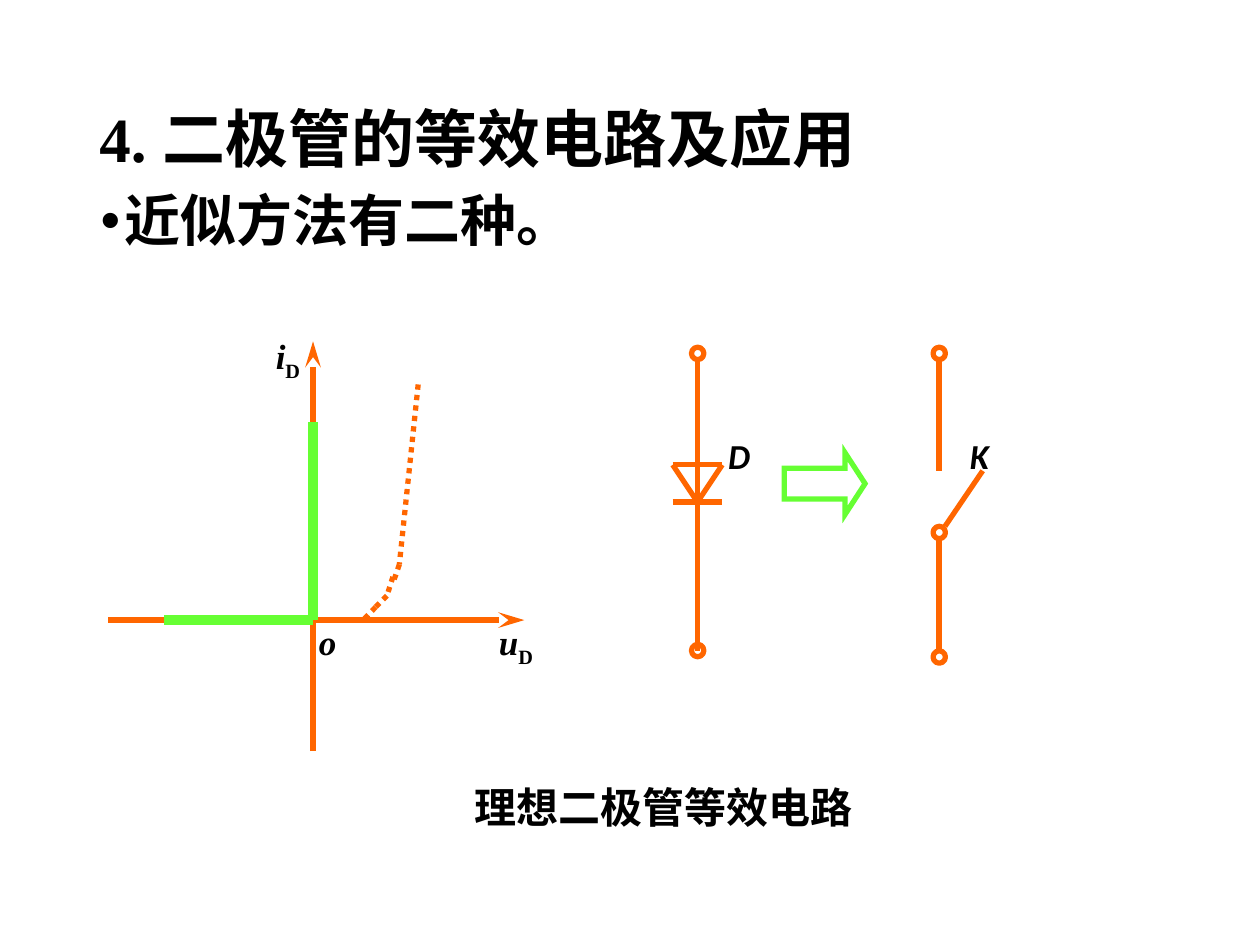
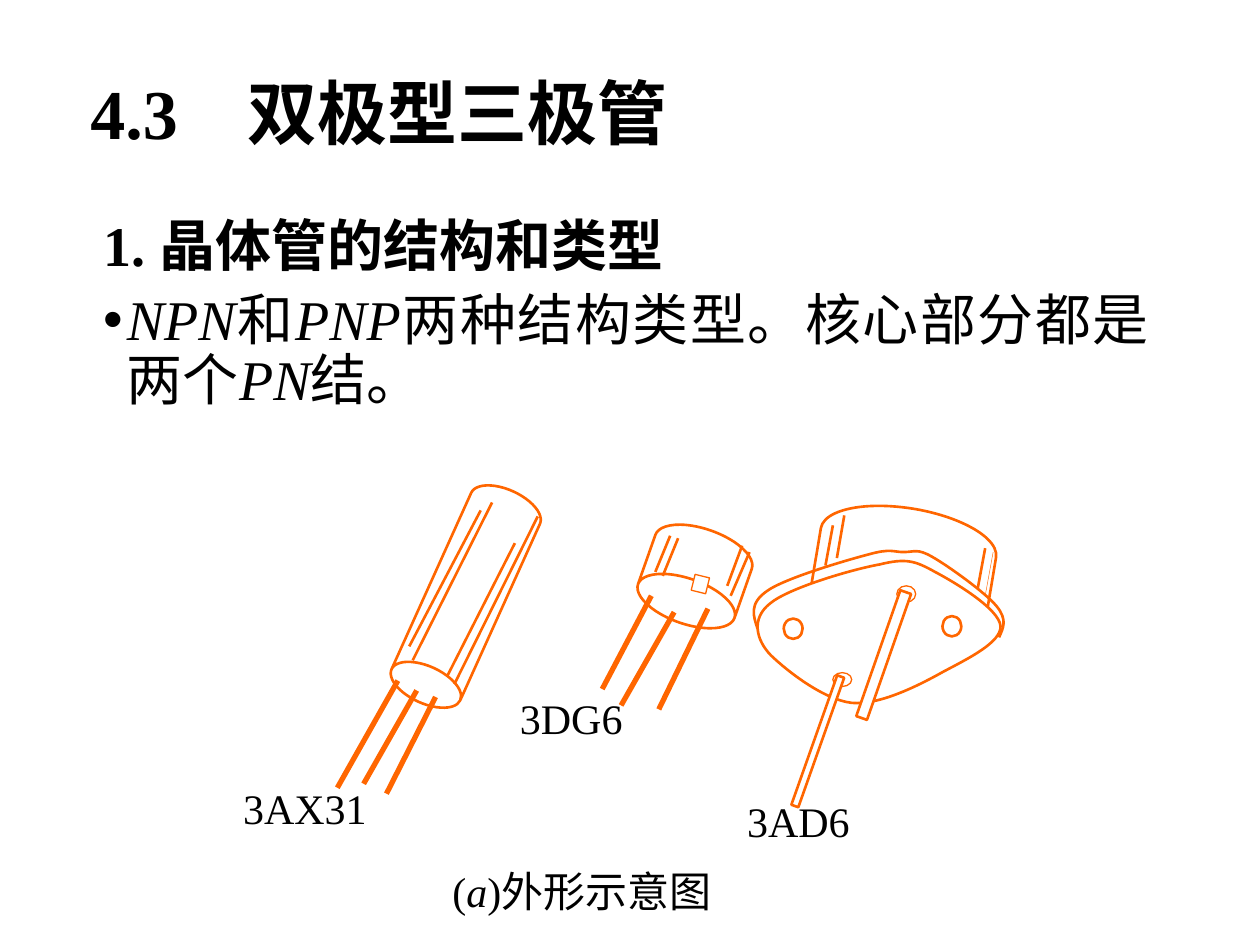
from dataclasses import dataclass
from itertools import chain, pairwise

from lxml import etree
from pptx import Presentation
from pptx.dml.color import RGBColor
from pptx.enum.dml import MSO_LINE
from pptx.enum.shapes import MSO_CONNECTOR, MSO_SHAPE
from pptx.enum.text import MSO_ANCHOR, PP_ALIGN
from pptx.oxml.ns import qn
from pptx.util import Cm, Pt

STRAIGHT = MSO_CONNECTOR.STRAIGHT
DOTTED = MSO_LINE.ROUND_DOT
CAN, ELLIPSE, RECTANGLE = MSO_SHAPE.CAN, MSO_SHAPE.OVAL, MSO_SHAPE.RECTANGLE
RIGHT_ARROW = MSO_SHAPE.RIGHT_ARROW
MIDDLE = MSO_ANCHOR.MIDDLE
LEFT, CENTER, JUSTIFY = PP_ALIGN.LEFT, PP_ALIGN.CENTER, PP_ALIGN.JUSTIFY


@dataclass(frozen=True)
class Theme:
    ink: RGBColor = RGBColor(0, 0, 0)
    paper: RGBColor = RGBColor(255, 255, 255)
    orange: RGBColor = RGBColor(0xFF, 0x66, 0x00)
    green: RGBColor = RGBColor(0x66, 0xFF, 0x33)
    serif: str = "Times New Roman"
    sans: str = "Calibri"
    bullet: str = "Arial"
    body: int = 32
    caption: int = 24
    symbol: int = 20
    heavy: float = 6
    bold_line: float = 3
    thin: float = 1.5
    fine: float = 0.75
    hair: float = 0.25
    hanging: float = 0.48


THEME = Theme()


# ---- Text ----
def write(paragraph, pieces, size, font=THEME.serif, bold=False, align=LEFT):
    """Each piece is (text, style); style is "", "i" (italic) or "sub"."""
    paragraph.alignment = align
    for text, style in pieces:
        run = paragraph.add_run()
        run.text = text
        run.font.name, run.font.size = font, Pt(size)
        run.font.bold, run.font.italic = bold, style == "i"
        run.font.color.rgb = THEME.ink
        if style == "sub":
            run._r.get_or_add_rPr().set("baseline", "-25000")


def write_title(slide, text, size, box, tab=None):
    title = slide.shapes.title
    title.left, title.top, title.width, title.height = map(Cm, box)
    frame = title.text_frame
    frame.vertical_anchor = MIDDLE
    paragraph = frame.paragraphs[0]
    if tab:
        stops = etree.SubElement(paragraph._p.get_or_add_pPr(), qn("a:tabLst"))
        etree.SubElement(stops, qn("a:tab"), pos=str(Cm(tab)), algn="l")
    paragraph.line_spacing = 0.9
    write(paragraph, [(text, "")], size, bold=True)


def write_body(slide, box, paragraphs):
    """Each paragraph is (pieces, bulleted, bold)."""
    frame = slide.shapes.add_textbox(*map(Cm, box)).text_frame
    frame.word_wrap = True
    for index, (pieces, bulleted, bold) in enumerate(paragraphs):
        paragraph = frame.add_paragraph() if index else frame.paragraphs[0]
        properties = paragraph._p.get_or_add_pPr()
        properties.set("marL", str(Cm(THEME.hanging)))
        properties.set("indent", str(-Cm(THEME.hanging)))
        if bulleted:
            etree.SubElement(properties, qn("a:buFont"), typeface=THEME.bullet)
            etree.SubElement(properties, qn("a:buChar"), char="•")
        paragraph.line_spacing = 0.9
        if index:
            paragraph.space_before = Pt(7.5)
        write(paragraph, pieces, THEME.body, bold=bold, align=JUSTIFY)


# ---- Drawing relative to a region's corner, in centimetres ----
class Region:
    def __init__(self, slide, left, top):
        self.shapes, self.left, self.top = slide.shapes, left, top

    def at(self, x, y):
        return Cm(self.left + x), Cm(self.top + y)

    def line(self, start, end, width=THEME.thin, color=THEME.orange, dash=None, arrow=False):
        connector = self.shapes.add_connector(STRAIGHT, *self.at(*start), *self.at(*end))
        connector.line.color.rgb, connector.line.width = color, Pt(width)
        if dash:
            connector.line.dash_style = dash
        if arrow:
            etree.SubElement(connector.line._get_or_add_ln(), qn("a:tailEnd"),
                             type="stealth", w="med", len="lg")
        etree.SubElement(connector._element.spPr, qn("a:effectLst"))

    def lines(self, ends, width=THEME.thin):
        for start, end in ends:
            self.line(start, end, width)

    def outline(self, shape, width, color=THEME.orange, filled=True):
        shape.shadow.inherit = False
        shape.line.color.rgb, shape.line.width = color, Pt(width)
        if filled:
            shape.fill.solid()
            shape.fill.fore_color.rgb = THEME.paper
        else:
            shape.fill.background()

    def shape(self, kind, x, y, width, height, line=THEME.thin, rotation=0, **style):
        shape = self.shapes.add_shape(kind, *self.at(x, y), Cm(width), Cm(height))
        shape.rotation = rotation
        self.outline(shape, line, **style)
        return shape

    def can(self, x, width, height, rotation, lid):
        can = self.shape(CAN, x, 0, width, height, rotation=rotation)
        can.adjustments[0] = lid
        can._element.spPr.xfrm.set("flipV", "1")

    def terminal(self, x, y):
        self.shape(ELLIPSE, x, y, 0.25, 0.25, THEME.bold_line, filled=False)

    def curve(self, start, beziers, closed):
        """Each Bézier is (control, control, end)."""
        builder = self.shapes.build_freeform(*self.at(*start))
        builder.add_line_segments([self.at(*point) for point in chain(*beziers)], close=closed)
        shape = builder.convert_to_shape()
        # Join every three straight segments into one cubic
        segments = list(shape._element.iter(qn("a:lnTo")))
        for first, second, third in zip(segments[::3], segments[1::3], segments[2::3]):
            first.tag = qn("a:cubicBezTo")
            for segment in (second, third):
                first.append(segment[0])
                segment.getparent().remove(segment)
        self.outline(shape, THEME.thin, filled=closed)

    def label(self, x, y, width, height, pieces, size, **style):
        box = self.shapes.add_textbox(*self.at(x, y), Cm(width), Cm(height))
        box.text_frame.word_wrap = True
        write(box.text_frame.paragraphs[0], pieces, size, **style)

    def symbol(self, x, y, pieces, font=THEME.serif):
        self.label(x, y, 2.13, 1.09, pieces, THEME.symbol, font=font, bold=True)


# ---- Slide 1: ideal diode ----
def draw_characteristic(slide, left, top):
    graph = Region(slide, left, top)
    zero_x, zero_y = origin = (4.13, 5.87)
    # Axes
    graph.line((0, zero_y), (8.39, zero_y), THEME.bold_line, arrow=True)
    graph.line((zero_x, 8.51), (zero_x, 0.25), THEME.bold_line, arrow=True)
    # Ideal characteristic
    for start, end in pairwise([(zero_x, 1.88), origin, (1.12, zero_y)]):
        graph.line(start, end, THEME.heavy, THEME.green)
    # Real characteristic
    upper = [(6.25, 1.12), (5.87, 4.75), (5.74, 5.13)]
    knee = [(5.74, 5), (5.62, 5.38), (5.39, 5.61), (5.14, zero_y)]
    for branch in (upper, knee):
        for start, end in pairwise(branch):
            graph.line(start, end, THEME.bold_line, dash=DOTTED)
    graph.symbol(7.63, 5.75, [("u", "i"), ("D", "sub")])
    graph.symbol(3.13, -0.01, [("i", "i"), ("D", "sub")])
    graph.symbol(4, 5.75, [("o", "i")])


def draw_diode(slide, left, top):
    diode = Region(slide, left, top)
    axis, right, anode, cathode = 0.5, 1, 2.37, 3.12
    diode.line((axis, 0.25), (axis, 6.12), THEME.bold_line)
    for y in (0, 5.99):
        diode.terminal(axis - 0.12, y)
    tip = (axis, cathode)
    diode.lines([((0, anode), (right, anode)), ((right, anode), tip),
                 ((0, anode), tip), ((0, cathode), (right, cathode))], THEME.bold_line)
    diode.symbol(0.87, 1.63, [("D", "i")], THEME.sans)


def draw_switch(slide, left, top):
    switch = Region(slide, left, top)
    axis = 0.13
    switch.lines([((axis, 0.25), (axis, 2.49)), ((axis, 3.86), (axis, 6.12)),
                  ((0.25, 3.61), (1.01, 2.49))], THEME.bold_line)
    for y in (0, 3.61, 6.12):
        switch.terminal(0.01, y)
    switch.symbol(0.5, 1.63, [("K", "i")], THEME.sans)


def build_diode_slide(slide):
    write_title(slide, "4. 二极管的等效电路及应用", 36, (1.75, 1.02, 21.89, 3.68))
    write_body(slide, (1.78, 3.76, 20.96, 12.9), [([("近似方法有二种。", "")], True, True)])
    draw_characteristic(slide, 2.18, 6.63)
    draw_diode(slide, 13.56, 7)
    page = Region(slide, 0, 0)
    # Sharp-cornered arrow from the diode to its equivalent
    equivalence = page.shape(RIGHT_ARROW, 15.81, 9.13, 1.63, 1.24, THEME.bold_line,
                             color=THEME.green, filled=False)
    equivalence.adjustments[1] = 0.325
    etree.SubElement(equivalence.line._get_or_add_ln(), qn("a:miter"), lim="800000")
    draw_switch(slide, 18.8, 7)
    page.label(9.32, 15.62, 8.86, 1.27, [("理想二极管等效电路", "")], THEME.caption,
               font=THEME.sans, bold=True)


# ---- Slide 2: transistor packages ----
def draw_3ax31(slide, left, top):
    package = Region(slide, left, top)
    package.can(1.83, 1.52, 4.65, 24.3, 0.492)
    package.lines([((2.89, 0.59), (1.45, 3.33)), ((3.12, 0.43), (1.52, 3.61)),
                   ((3.58, 1.25), (2.21, 3.94)), ((4.04, 0.71), (2.36, 4.09))])
    package.lines([((1.22, 4.02), (0, 6.18)), ((1.6, 4.22), (0.53, 6.1)),
                   ((1.98, 4.35), (0.99, 6.3))], THEME.bold_line)
    package.label(-2.15, 5.94, 7.04, 3.4, [("3AX31", "")], THEME.caption, align=JUSTIFY)


def draw_3dg6(slide, left, top):
    package = Region(slide, left, top)
    package.can(0.84, 2.06, 1.96, 19.4, 0.463)
    package.shape(RECTANGLE, 1.83, 0.97, 0.3, 0.33, THEME.fine, 13.9)
    package.lines([((1.37, 0.16), (1.07, 0.89)), ((1.53, 0.21), (1.22, 0.97)),
                   ((2.82, 0.36), (2.52, 1.17)), ((2.97, 0.49), (2.59, 1.37))])
    package.lines([((0.99, 1.37), (0, 3.25)), ((1.45, 1.7), (0.38, 3.58)),
                   ((2.13, 1.63), (1.14, 3.66))], THEME.bold_line)
    package.label(-1.91, 3.19, 5.79, 2.44, [("3DG6", "")], THEME.caption, align=JUSTIFY)


def draw_3ad6(slide, left, top):
    package = Region(slide, left, top)
    package.can(1.27, 3.58, 2.77, 9.5, 0.5)
    # Flange and its rim
    package.curve((0.38, 1.93), [
        ((0.74, 1.62), (2.03, 1.24), (2.59, 1.14)),
        ((3.12, 1.01), (3.3, 1.06), (3.71, 1.29)),
        ((4.09, 1.49), (5, 2.03), (5.03, 2.38)),
        ((5.05, 2.71), (4.37, 3.04), (3.88, 3.3)),
        ((3.38, 3.58), (2.59, 3.98), (2.03, 3.93)),
        ((1.45, 3.86), (0.71, 3.27), (0.4, 2.97)),
        ((0.1, 2.66), (0, 2.23), (0.38, 1.93))], closed=True)
    package.curve((0.13, 2.43), [
        ((0.05, 2.18), (-0.05, 1.93), (0.33, 1.67)),
        ((0.68, 1.42), (1.9, 1.06), (2.36, 0.94)),
        ((2.82, 0.81), (2.87, 0.89), (3.07, 0.89)),
        ((3.3, 0.89), (3.35, 0.81), (3.66, 0.99)),
        ((3.96, 1.16), (4.72, 1.7), (4.95, 1.98)),
        ((5.18, 2.26), (5.08, 2.43), (5, 2.61))], closed=False)
    # Mounting holes and pin seats
    for x, y, height, line in ((0.66, 2.23, 0.41, THEME.thin), (2.94, 1.57, 0.33, THEME.fine),
                               (1.65, 3.32, 0.28, THEME.fine), (3.86, 2.18, 0.41, THEME.thin)):
        package.shape(ELLIPSE, x, y, 0.38, height, line)
    # Shading
    package.lines([((1.65, 0.35), (1.5, 1.16)), ((1.88, 0.15), (1.73, 1.01)),
                   ((4.72, 0.81), (4.57, 1.62))])
    package.line((4.88, 0.89), (4.72, 1.77), THEME.hair)
    # Pins
    package.shape(RECTANGLE, 1.27, 3.32, 0.15, 2.77, rotation=19.5)
    package.shape(RECTANGLE, 2.56, 1.62, 0.23, 2.69, rotation=19.3)
    package.label(-0.33, 5.67, 6.58, 2.9, [("3AD6", "")], THEME.caption, align=JUSTIFY)


def build_transistor_slide(slide):
    write_title(slide, "4.3\t双极型三极管", 40, (1.57, 0.77, 20.75, 3.18), tab=3.17)
    write_body(slide, (1.83, 4.27, 21.59, 4.88), [
        ([("1. 晶体管的结构和类型", "")], False, True),
        ([("NPN", "i"), ("和", ""), ("PNP", "i"), ("两种结构类型。核心部分都是两个", ""),
          ("PN", "i"), ("结。", "")], True, False)])
    draw_3ax31(slide, 6.8, 9.7)
    draw_3dg6(slide, 12.14, 10.64)
    draw_3ad6(slide, 15.14, 10.24)
    Region(slide, 0, 0).label(4.86, 17.32, 13.74, 1.27,
                              [("(", ""), ("a", "i"), (")外形示意图", "")],
                              THEME.caption, align=CENTER)


def main():
    deck = Presentation()
    deck.slide_width, deck.slide_height = Cm(25.4), Cm(19.05)
    title_only = deck.slide_layouts[5]
    for build in (build_diode_slide, build_transistor_slide):
        build(deck.slides.add_slide(title_only))
    deck.save("out.pptx")


if __name__ == "__main__":
    main()
